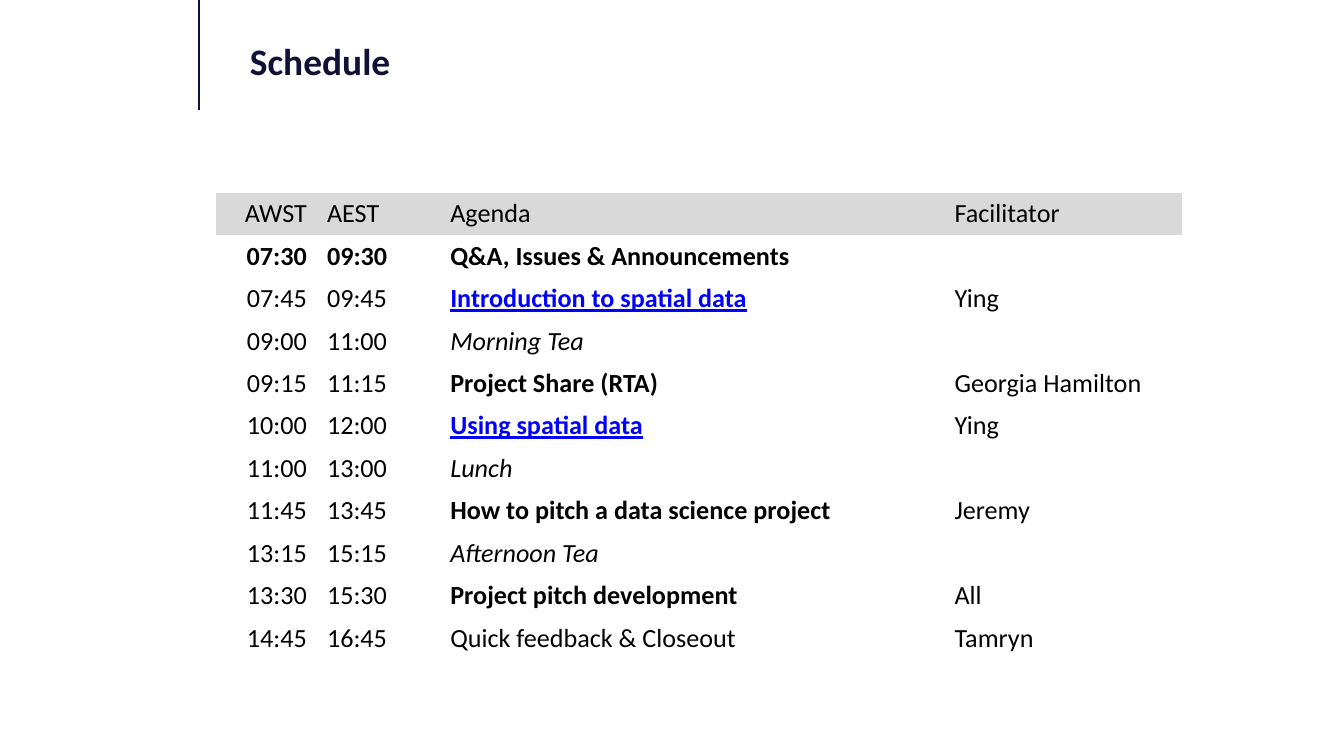
from lxml import etree
from pptx import Presentation
from pptx.dml.color import RGBColor
from pptx.enum import shapes, text
from pptx.oxml.ns import qn
from pptx.util import Cm, Pt

FONT = "Calibri"
NAVY, BLACK, BLUE, GREY = "0F1137", "000000", "0000FF", "D9D9D9"
NO_STYLE = "{2D5ABB26-0587-4C30-8999-92F81FD0307C}"

TITLE = "Schedule"
HEADER = ("AWST", "AEST", "Agenda", "Facilitator")
SESSIONS = [
    ("07:30", "09:30", "Q&A, Issues & Announcements", "", "opening"),
    ("07:45", "09:45", "Introduction to spatial data", "Ying", "lesson"),
    ("09:00", "11:00", "Morning Tea", "", "break"),
    ("09:15", "11:15", "Project Share (RTA)", "Georgia Hamilton", "session"),
    ("10:00", "12:00", "Using spatial data", "Ying", "lesson"),
    ("11:00", "13:00", "Lunch", "", "break"),
    ("11:45", "13:45", "How to pitch a data science project", "Jeremy", "session"),
    ("13:15", "15:15", "Afternoon Tea", "", "break"),
    ("13:30", "15:30", "Project pitch development", "All", "session"),
    ("14:45", "16:45", "Quick feedback & Closeout", "Tamryn", "plain"),
]
COLUMN_WIDTHS = (1.9, 2.33, 9.53, 4.48)
ROW_HEIGHT = 0.8
AGENDA = 2


def colour(value):
    return RGBColor.from_string(value)


def add_span(para, words, size, shade, bold=False, italic=False, underline=False):
    span = para.add_run()
    span.text = words
    font = span.font
    font.name, font.size = FONT, Pt(size)
    font.bold, font.italic, font.underline = bold, italic, underline
    font.color.rgb = colour(shade)


def add_title(page):
    box = page.shapes.title
    box.left, box.top, box.width, box.height = Cm(4.47), Cm(0.53), Cm(19.3), Cm(1.24)
    box.text_frame.vertical_anchor = text.MSO_ANCHOR.MIDDLE
    para = box.text_frame.paragraphs[0]
    para.alignment = text.PP_ALIGN.LEFT
    add_span(para, TITLE, 20, NAVY, bold=True)


def add_rule(page):
    rule = page.shapes.add_connector(
        shapes.MSO_CONNECTOR.STRAIGHT, Cm(3.76), Cm(2.08), Cm(3.76), Cm(0))
    rule.line.color.rgb = colour(NAVY)
    rule.line.width = Pt(1.25)
    etree.SubElement(rule._element.spPr, qn("a:effectLst"))


def fill_cell(cell, words, column, kind):
    cell.margin_left = cell.margin_right = Cm(0.19)
    cell.margin_top = cell.margin_bottom = Cm(0.1)
    cell.vertical_anchor = text.MSO_ANCHOR.MIDDLE
    if kind == "header":
        cell.fill.solid()
        cell.fill.fore_color.rgb = colour(GREY)
    else:
        cell.fill.background()
    para = cell.text_frame.paragraphs[0]
    para.alignment = text.PP_ALIGN.RIGHT if column == 0 else text.PP_ALIGN.LEFT
    if not words:
        etree.SubElement(para._p, qn("a:endParaRPr"), sz="1400")
        return
    topic = column == AGENDA
    lesson = topic and kind == "lesson"
    add_span(para, words, 14, BLUE if lesson else BLACK,
             bold=kind == "opening" or topic and kind in ("lesson", "session"),
             italic=topic and kind == "break", underline=lesson)


def add_schedule(page):
    rows = [(*HEADER, "header"), *SESSIONS]
    frame = page.shapes.add_table(
        len(rows), len(HEADER), Cm(4.09), Cm(3.64),
        Cm(sum(COLUMN_WIDTHS)), Cm(ROW_HEIGHT * len(rows)))
    table = frame.table
    table.first_row = table.horz_banding = False
    table._tbl.tblPr.find(qn("a:tableStyleId")).text = NO_STYLE
    for column, width in zip(table.columns, COLUMN_WIDTHS):
        column.width = Cm(width)
    for index, (*entries, kind) in enumerate(rows):
        table.rows[index].height = Cm(ROW_HEIGHT)
        for column, words in enumerate(entries):
            fill_cell(table.cell(index, column), words, column, kind)


def main():
    deck = Presentation()
    deck.slide_width, deck.slide_height = Cm(25.4), Cm(14.29)
    page = deck.slides.add_slide(deck.slide_layouts[5])
    add_rule(page)
    add_title(page)
    add_schedule(page)
    deck.save("out.pptx")


if __name__ == "__main__":
    main()
